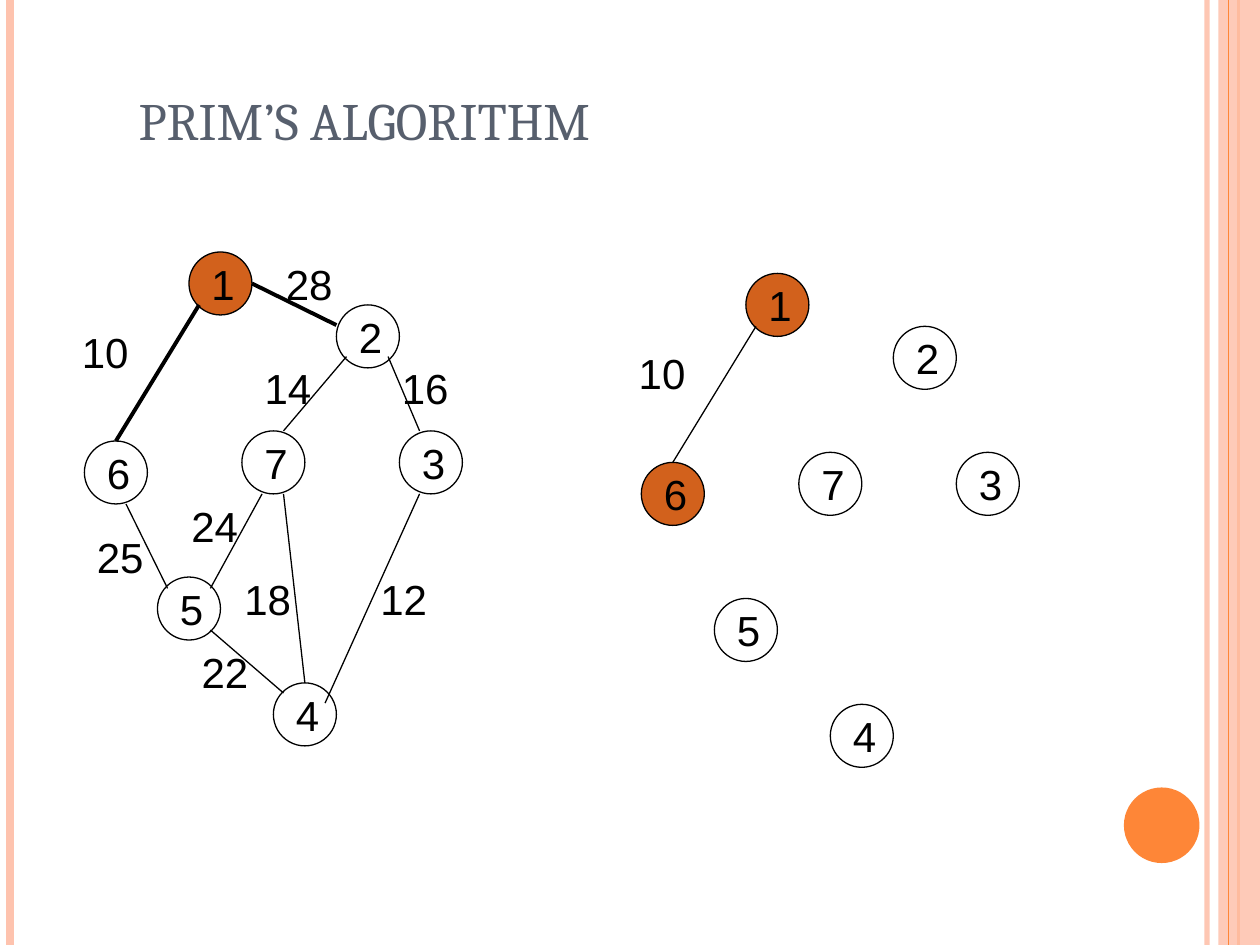
from dataclasses import dataclass

from lxml import etree
from pptx import Presentation
from pptx.dml.color import RGBColor
from pptx.enum import shapes, text
from pptx.oxml import ns
from pptx.util import Inches, Pt


@dataclass(frozen=True)
class Theme:
    ink: RGBColor = RGBColor(0, 0, 0)
    title: RGBColor = RGBColor(0x57, 0x5F, 0x6D)
    visited: RGBColor = RGBColor(0xD2, 0x61, 0x1C)
    accent: RGBColor = RGBColor(0xFE, 0x86, 0x37)
    pale: RGBColor = RGBColor(0xFE, 0xC3, 0xAE)
    title_font: str = "Cambria"
    body_font: str = "Arial"
    title_size: int = 30
    body_size: int = 24
    thin: float = 0.75
    thick: float = 2.25


THEME = Theme()
NODE_SIZE = 0.5
NUMBER_SHIFT = 0.08
TREE_SHIFT = (4.42, 0.17)

NODES = {
    "1": (1.5, 2), "2": (2.67, 2.42), "7": (1.92, 3.42), "3": (3.17, 3.42),
    "4": (2.17, 5.42), "5": (1.25, 4.58), "6": (0.67, 3.5),
}
# Each edge: weight, start, end, top left corner of the weight
EDGES = [
    ("10", (1.58, 2.42), (0.92, 3.5), (0.55, 2.54)),
    ("25", (1, 4), (1.33, 4.67), (0.67, 4.17)),
    ("22", (1.67, 5), (2.25, 5.5), (1.5, 5.08)),
    ("24", (2.08, 3.92), (1.67, 4.67), (1.42, 3.92)),
    ("18", (2.25, 3.92), (2.42, 5.42), (1.84, 4.5)),
    ("14", (2.75, 2.83), (2.25, 3.42), (2, 2.83)),
    ("12", (3.33, 3.92), (2.58, 5.58), (2.92, 4.5)),
    ("16", (3.08, 2.83), (3.33, 3.42), (3.09, 2.83)),
    ("28", (2, 2.25), (2.67, 2.58), (2.17, 2)),
]


def set_alpha(color_parent, percent):
    color = color_parent.find(".//" + ns.qn("a:srgbClr"))
    etree.SubElement(color, ns.qn("a:alpha"), val=str(percent * 1000))


def add_line(canvas, start, end, color=THEME.ink, width=THEME.thin, alpha=None):
    line = canvas.add_connector(
        shapes.MSO_CONNECTOR.STRAIGHT, *(Inches(value) for value in (*start, *end)))
    line.line.color.rgb = color
    line.line.width = Pt(width)
    properties = line._element.spPr
    if alpha:
        set_alpha(properties, alpha)
    etree.SubElement(properties, ns.qn("a:effectLst"))


def add_figure(canvas, kind, left, top, width, height, fill=None, outline=None):
    figure = canvas.add_shape(
        kind, Inches(left), Inches(top), Inches(width), Inches(height))
    figure.shadow.inherit = False
    if fill is None:
        figure.fill.background()
    else:
        figure.fill.solid()
        figure.fill.fore_color.rgb = fill
    if outline is None:
        figure.line.fill.background()
    else:
        figure.line.color.rgb = outline
        figure.line.width = Pt(THEME.thin)
    return figure


def write(frame, words, font, size, color, align):
    para = frame.paragraphs[0]
    para.alignment = align
    span = para.add_run()
    span.text = words
    span.font.name = font
    span.font.size = Pt(size)
    span.font.color.rgb = color


def add_number(canvas, number, left, top):
    width = 0.38 if len(number) == 1 else 0.57
    box = canvas.add_textbox(
        Inches(left), Inches(top), Inches(width), Inches(NODE_SIZE))
    box.text_frame.word_wrap = False
    box.text_frame.auto_size = text.MSO_AUTO_SIZE.SHAPE_TO_FIT_TEXT
    write(box.text_frame, number, font=THEME.body_font, size=THEME.body_size,
          color=THEME.ink, align=text.PP_ALIGN.CENTER)


def add_graph(canvas, edges, visited, thick=(), shift=(0, 0)):
    """Draw all nodes and the given edges, with the visited nodes filled."""
    def moved(point):
        return point[0] + shift[0], point[1] + shift[1]

    for name, corner in NODES.items():
        add_figure(canvas, shapes.MSO_SHAPE.OVAL, *moved(corner), NODE_SIZE, NODE_SIZE,
                   fill=THEME.visited if name in visited else None, outline=THEME.ink)
    for name, corner in NODES.items():
        left, top = moved(corner)
        add_number(canvas, name, left + NUMBER_SHIFT, top)
    for weight, start, end, _ in edges:
        add_line(canvas, moved(start), moved(end),
                 width=THEME.thick if weight in thick else THEME.thin)
    for weight, _, _, corner in edges:
        add_number(canvas, weight, *moved(corner))


def add_decoration(canvas):
    def add_rail(x, color, width, alpha=None):
        add_line(canvas, (x, 0), (x, 7.5), color, width, alpha)

    add_rail(9.58, THEME.pale, 3, alpha=93)
    add_rail(0.08, THEME.pale, 4.5)
    add_rail(9.83, THEME.accent, 1.5)
    band = add_figure(canvas, shapes.MSO_SHAPE.RECTANGLE, 9.67, 0, 0.33, 7.5,
                      fill=THEME.pale)
    set_alpha(band._element.spPr, 87)
    add_rail(9.75, THEME.accent, 0.75)
    add_figure(canvas, shapes.MSO_SHAPE.OVAL, 8.92, 6.25, 0.6, 0.6, fill=THEME.accent)


def set_title(page, words):
    title = page.shapes.title
    title.left, title.top = Inches(1), Inches(0.3)
    title.width, title.height = Inches(8.5), Inches(0.95)
    title.text_frame.vertical_anchor = text.MSO_ANCHOR.BOTTOM
    write(title.text_frame, words, font=THEME.title_font, size=THEME.title_size,
          color=THEME.title, align=text.PP_ALIGN.LEFT)


def main():
    deck = Presentation()
    deck.slide_width, deck.slide_height = Inches(10), Inches(7.5)
    page = deck.slides.add_slide(deck.slide_layouts[5])
    add_decoration(page.shapes)
    set_title(page, "PRIM’S ALGORITHM")
    add_graph(page.shapes, EDGES, visited={"1"}, thick={"10", "28"})
    tree = page.shapes.add_group_shape()
    add_graph(tree.shapes, EDGES[:1], visited={"1", "6"}, shift=TREE_SHIFT)
    deck.save("out.pptx")


if __name__ == "__main__":
    main()
